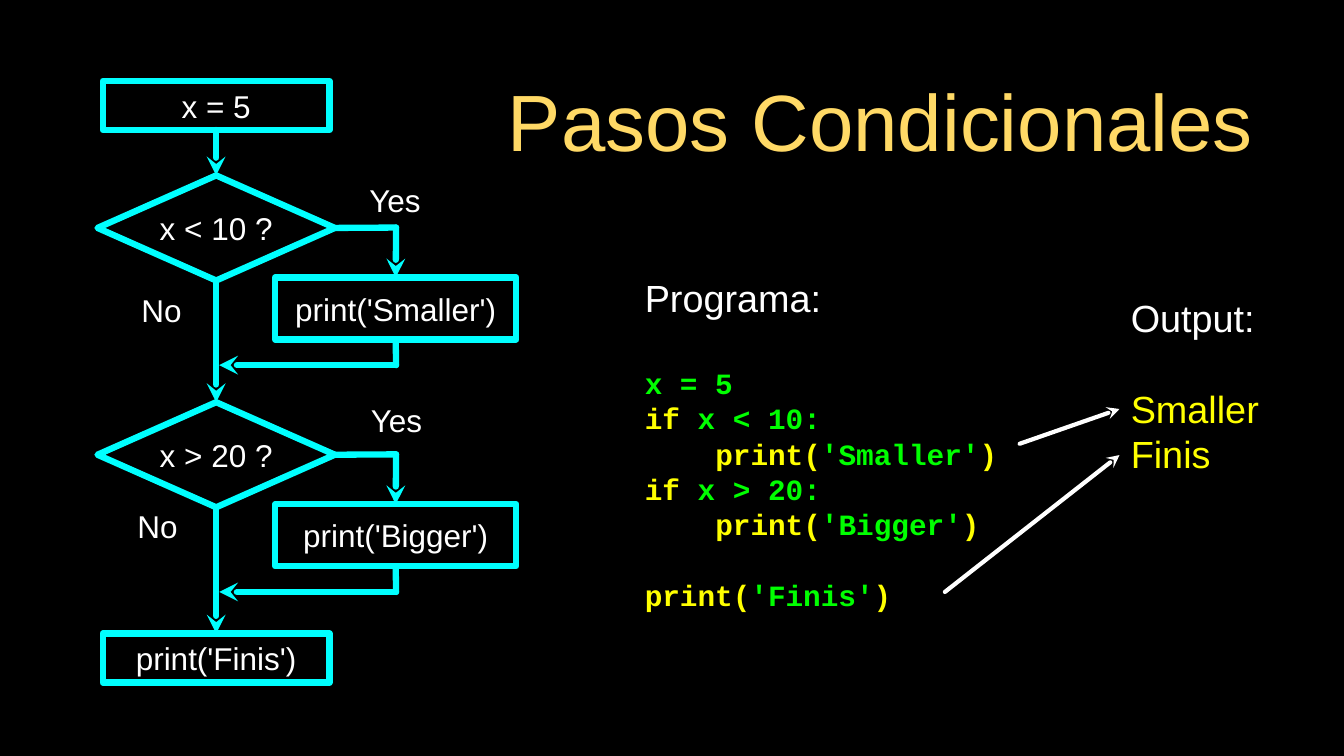
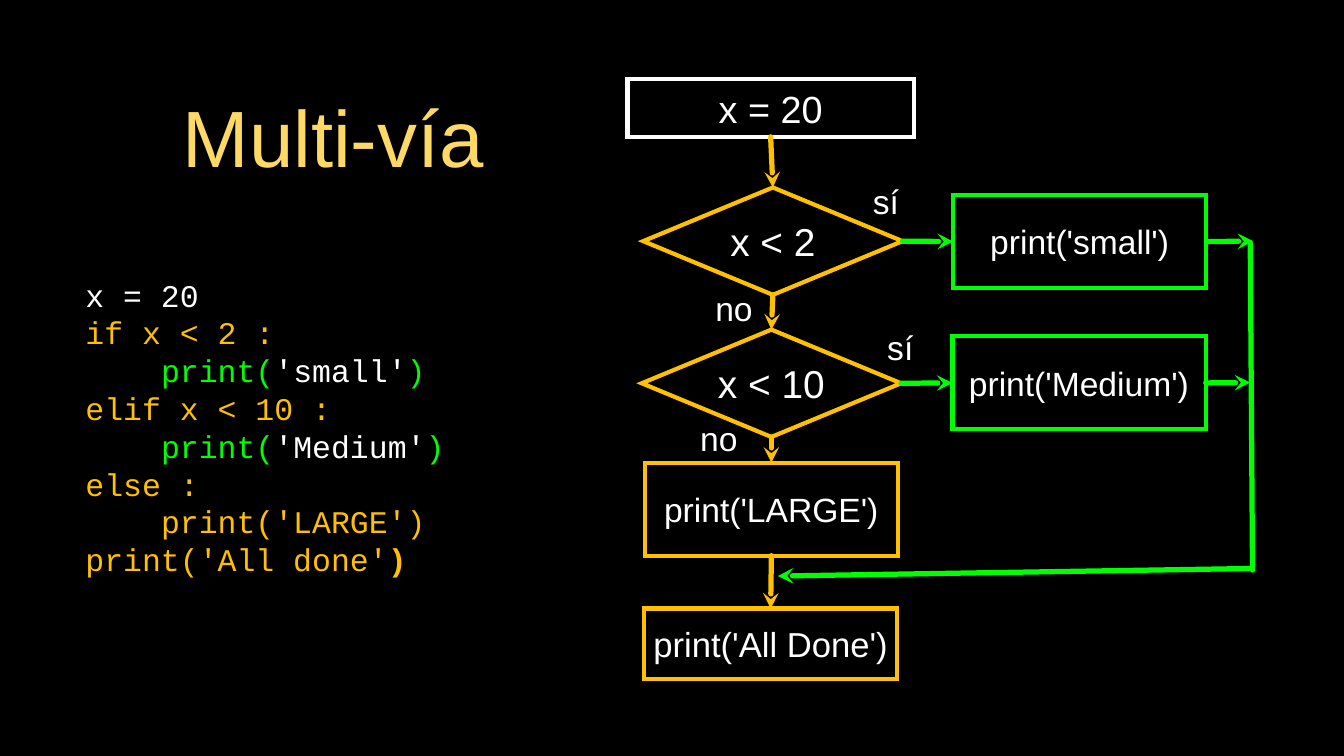
from dataclasses import dataclass

from lxml.etree import SubElement
from pptx import Presentation
from pptx.dml.color import RGBColor
from pptx.enum.shapes import MSO_CONNECTOR, MSO_SHAPE
from pptx.enum.text import MSO_ANCHOR, MSO_AUTO_SIZE, PP_ALIGN
from pptx.oxml.ns import qn
from pptx.util import Inches, Pt


@dataclass(frozen=True)
class Theme:
    background: str = "000000"
    title: str = "FFD966"
    text: str = "FFFFFF"
    cyan: str = "00FFFF"
    green: str = "00FF00"
    yellow: str = "FFFF00"
    amber: str = "FFC000"
    sans: str = "Arial"
    mono: str = "Courier New"
    title_size: int = 76
    heading_size: int = 36
    step_size: int = 30
    code_size: int = 28
    long_code_size: int = 30
    test_size: int = 37
    branch_size: int = 32
    final_size: int = 33
    line_spacing: float = 1.2


THEME = Theme()


@dataclass
class Line:
    runs: list
    size: int
    font: str = THEME.sans
    bold: bool = False
    indent: int = 0  # characters of a monospaced font
    gap: float = 0  # points above the line


def write(shape, lines, alignment=PP_ALIGN.CENTER):
    """Fill a shape with lines of coloured runs, centred vertically without margins."""
    frame = shape.text_frame
    frame.word_wrap = True
    frame.vertical_anchor = MSO_ANCHOR.MIDDLE
    frame.margin_left = frame.margin_right = frame.margin_top = frame.margin_bottom = 0
    for index, line in enumerate(lines):
        paragraph = frame.add_paragraph() if index else frame.paragraphs[0]
        paragraph.alignment = alignment
        paragraph.line_spacing = Pt(line.size * THEME.line_spacing)
        paragraph.space_before = Pt(line.gap)
        if line.indent:
            properties = paragraph._p.get_or_add_pPr()
            properties.set("marL", str(Pt(line.indent * line.size * 0.6)))
            properties.set("indent", "0")
        for text, color in line.runs:
            run = paragraph.add_run()
            run.text = text
            run.font.name = line.font
            run.font.size = Pt(line.size)
            run.font.bold = line.bold
            run.font.color.rgb = RGBColor.from_string(color)


def connect(slide, start, end, color, width, arrow=True):
    """Draw a line; each end is an (x, y) point or a (shape, side) pair."""
    points = [(0, 0) if hasattr(place[0], "shape_id") else place for place in (start, end)]
    (x1, y1), (x2, y2) = points
    connector = slide.shapes.add_connector(
        MSO_CONNECTOR.STRAIGHT, Inches(x1), Inches(y1), Inches(x2), Inches(y2))
    for place, join in ((start, connector.begin_connect), (end, connector.end_connect)):
        if hasattr(place[0], "shape_id"):
            join(*place)
    connector.line.color.rgb = RGBColor.from_string(color)
    connector.line.width = Pt(width)
    outline = connector.line._get_or_add_ln()
    outline.set("cap", "rnd")
    SubElement(outline, qn("a:round"))
    if arrow:
        SubElement(outline, qn("a:tailEnd"), type="stealth", w="med", len="med")
    SubElement(connector._element.spPr, qn("a:effectLst"))


presentation = Presentation()
presentation.slide_width = Inches(17.78)
presentation.slide_height = Inches(10)
background = presentation.slide_master.background.fill
background.solid()
background.fore_color.rgb = RGBColor.from_string(THEME.background)

WHITE, CYAN, GREEN = THEME.text, THEME.cyan, THEME.green
YELLOW, AMBER = THEME.yellow, THEME.amber
RECTANGLE, DIAMOND = MSO_SHAPE.RECTANGLE, MSO_SHAPE.DIAMOND
TOP, LEFT, BOTTOM, RIGHT = range(4)
STEP, BRANCH = THEME.step_size, THEME.branch_size

# Code blocks
heading, code = THEME.heading_size, THEME.code_size
code_style = dict(size=code, font=THEME.mono, bold=True)
program = [
    Line([("Programa:", WHITE)], heading),
    Line([("x = 5", GREEN)], gap=heading * THEME.line_spacing, **code_style),
]
for condition, word in (("x < 10:", "Smaller"), ("x > 20:", "Bigger")):
    program += [
        Line([("if ", YELLOW), (condition, GREEN)], **code_style),
        Line([("print(", YELLOW), (f"'{word}'", GREEN), (")", YELLOW)], indent=4, **code_style),
    ]
program.append(Line([("print(", YELLOW), ("'Finis'", GREEN), (")", YELLOW)],
                    gap=code * THEME.line_spacing, **code_style))
output = [
    Line([("Output:", WHITE)], heading),
    Line([("Smaller", YELLOW)], heading, gap=heading * THEME.line_spacing),
    Line([("Finis", YELLOW)], heading),
]
long_style = dict(size=THEME.long_code_size, font=THEME.mono)
multi_way = [Line([("x = 20", WHITE)], **long_style)]
for condition, word in (("if x < 2 :", "small"), ("elif x < 10 :", "Medium")):
    multi_way += [
        Line([(condition, AMBER)], **long_style),
        Line([("print(", GREEN), (f"'{word}'", WHITE), (")", GREEN)], indent=4, **long_style),
    ]
multi_way += [
    Line([("else :", AMBER)], **long_style),
    Line([("print('LARGE')", AMBER)], indent=4, **long_style),
    Line([("print('All done'", AMBER), (")", AMBER)], **long_style),
]

# Each slide: title, line weight and join, flowchart nodes, branch labels, text blocks
slides = [
    dict(
        title="Pasos Condicionales", title_box=(6.4, 0.84, 10.49, 1.49),
        weight=6, join="a:round", label_size=STEP,
        nodes=[
            ("x = 5", RECTANGLE, (1.36, 1.07, 3, 0.65), CYAN, STEP),
            ("x < 10 ?", DIAMOND, (1.29, 2.32, 3.14, 1.39), CYAN, STEP),
            ("print('Smaller')", RECTANGLE, (3.64, 3.67, 3.19, 0.82), CYAN, STEP),
            ("x > 20 ?", DIAMOND, (1.29, 5.32, 3.14, 1.39), CYAN, STEP),
            ("print('Bigger')", RECTANGLE, (3.64, 6.67, 3.19, 0.82), CYAN, STEP),
            ("print('Finis')", RECTANGLE, (1.36, 8.38, 3, 0.65), CYAN, STEP),
        ],
        labels=[
            ("Yes", (4.83, 2.31, 0.79, 0.68)), ("No", (1.74, 3.71, 0.79, 0.77)),
            ("Yes", (4.85, 5.21, 0.79, 0.68)), ("No", (1.69, 6.67, 0.79, 0.58)),
        ],
        blocks=[(program, (8.53, 3.14, 4.96, 5.45)), (output, (14.96, 3.9, 1.73, 2.39))],
    ),
    dict(
        title="Multi-vía", title_box=(1.26, 0.82, 6.3, 1.96),
        weight=4, join="a:miter", label_size=BRANCH,
        nodes=[
            ("x = 20", RECTANGLE, (8.3, 1.05, 3.79, 0.76), WHITE, heading),
            ("x < 2", DIAMOND, (8.51, 2.48, 3.43, 1.42), AMBER, THEME.test_size),
            ("print('small')", RECTANGLE, (12.61, 2.58, 3.35, 1.23), GREEN, BRANCH),
            ("x < 10", DIAMOND, (8.49, 4.36, 3.43, 1.42), AMBER, THEME.test_size),
            ("print('Medium')", RECTANGLE, (12.6, 4.45, 3.35, 1.23), GREEN, BRANCH),
            ("print('LARGE')", RECTANGLE, (8.53, 6.12, 3.35, 1.23), AMBER, BRANCH),
            ("print('All Done')", RECTANGLE, (8.52, 8.05, 3.35, 0.93), AMBER, THEME.final_size),
        ],
        labels=[
            ("sí", (11.34, 2.39, 0.76, 0.54)), ("no", (9.45, 3.81, 0.52, 0.54)),
            ("sí", (11.49, 4.32, 0.84, 0.54)), ("no", (9.25, 5.53, 0.52, 0.54)),
        ],
        blocks=[(multi_way, (1.13, 3.21, 5.58, 4.87))],
    ),
]

built = []
for content in slides:
    slide = presentation.slides.add_slide(presentation.slide_layouts[5])

    title = slide.shapes.title
    title.left, title.top, title.width, title.height = map(Inches, content["title_box"])
    frame = title.text_frame
    frame.text = content["title"]
    frame.auto_size = MSO_AUTO_SIZE.NONE
    frame.vertical_anchor = MSO_ANCHOR.MIDDLE
    frame.margin_left = frame.margin_right = Inches(0.04)
    frame.margin_top = frame.margin_bottom = Inches(0.04)
    frame.paragraphs[0].alignment = PP_ALIGN.CENTER
    title_font = frame.paragraphs[0].runs[0].font
    title_font.name = THEME.sans
    title_font.size = Pt(THEME.title_size)
    title_font.color.rgb = RGBColor.from_string(THEME.title)

    nodes = []
    for text, kind, box, color, size in content["nodes"]:
        node = slide.shapes.add_shape(kind, *map(Inches, box))
        node.shadow.inherit = False
        node.fill.background()
        node.line.color.rgb = RGBColor.from_string(color)
        node.line.width = Pt(content["weight"])
        SubElement(node.line._get_or_add_ln(), qn(content["join"]))
        write(node, [Line([(text, WHITE)], size)])
        nodes.append(node)

    for text, box in content["labels"]:
        label = slide.shapes.add_textbox(*map(Inches, box))
        write(label, [Line([(text, WHITE)], content["label_size"])])

    for lines, box in content["blocks"]:
        block = slide.shapes.add_textbox(*map(Inches, box))
        write(block, lines, PP_ALIGN.LEFT)
    built.append((slide, nodes, block))

# Conditional steps: main flow, a detour for each test, and code to output
slide, nodes, _ = built[0]
start, first_test, smaller, second_test, bigger, finish = nodes
for upper, lower in ((start, first_test), (first_test, second_test), (second_test, finish)):
    connect(slide, (upper, BOTTOM), (lower, TOP), CYAN, 6)
detour_x, main_x = 5.24, 2.9
for test, action, test_y in ((first_test, smaller, 3.01), (second_test, bigger, 6.01)):
    return_y = test_y + 1.82
    connect(slide, (test, RIGHT), (detour_x, test_y), CYAN, 6, arrow=False)
    connect(slide, (detour_x, test_y), (action, TOP), CYAN, 6)
    connect(slide, (action, BOTTOM), (detour_x, return_y), CYAN, 6, arrow=False)
    connect(slide, (detour_x, return_y), (main_x, return_y), CYAN, 6)
for code_point, output_point in (((13.49, 5.87), (14.81, 5.41)), ((12.5, 7.83), (14.81, 6.02))):
    connect(slide, code_point, output_point, WHITE, 4)

# Multi-way: main flow, branches, and the shared return line
slide, nodes, block = built[1]
block.text_frame.paragraphs[-1].runs[-1].font.bold = True
start, first_test, small, second_test, medium, large, finish = nodes
main_flow = [start, first_test, second_test, large, finish]
for upper, lower in zip(main_flow, main_flow[1:]):
    connect(slide, (upper, BOTTOM), (lower, TOP), AMBER, 5)
for test, action, exit_point in (
    (first_test, small, (16.58, 3.19)), (second_test, medium, (16.54, 5.06)),
):
    connect(slide, (test, RIGHT), (action, LEFT), GREEN, 5)
    connect(slide, (action, RIGHT), exit_point, GREEN, 5)
connect(slide, (16.54, 3.21), (16.57, 7.54), GREEN, 5, arrow=False)
connect(slide, (16.55, 7.52), (10.29, 7.62), GREEN, 5)

presentation.save("out.pptx")
